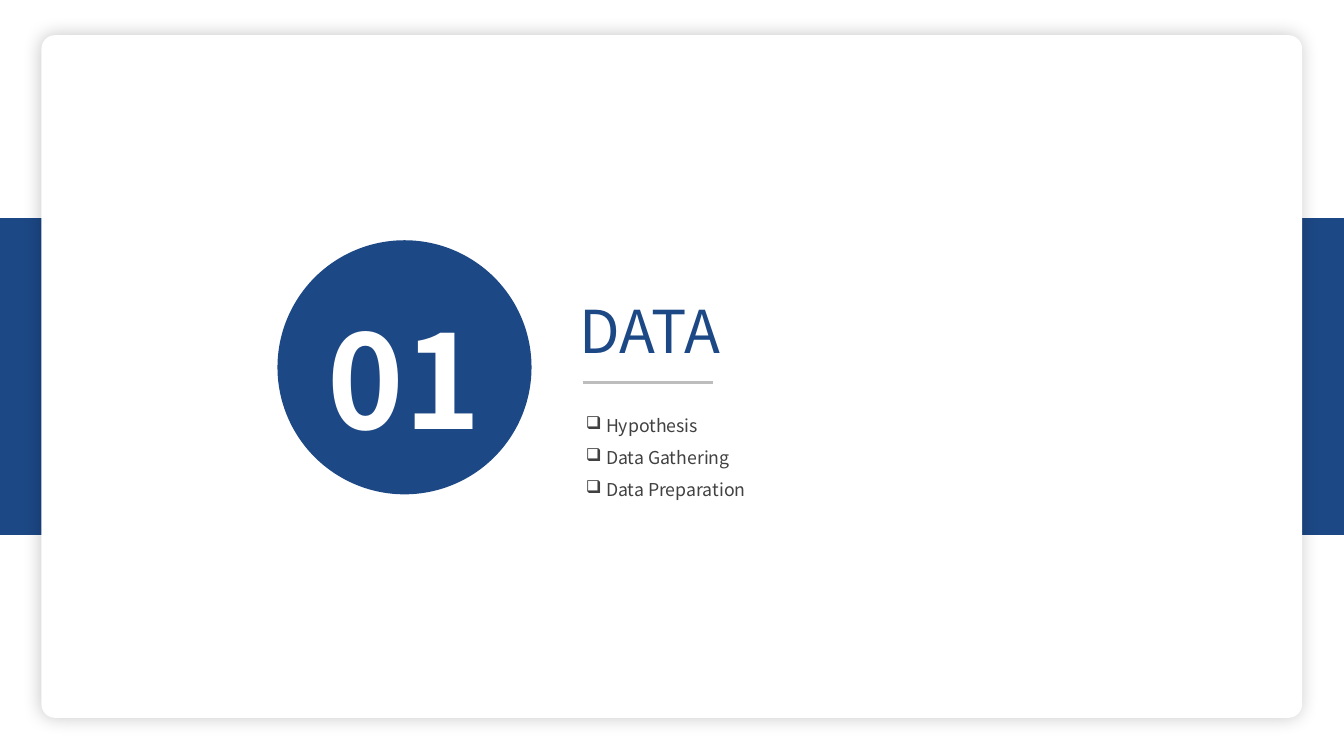
from dataclasses import dataclass

from lxml.etree import SubElement
from pptx import Presentation
from pptx.dml.color import RGBColor
from pptx.enum.shapes import MSO_CONNECTOR, MSO_SHAPE
from pptx.enum.text import MSO_ANCHOR, PP_ALIGN
from pptx.oxml.ns import qn
from pptx.shapes.autoshape import Shape
from pptx.slide import Slide
from pptx.util import Cm, Pt

NAVY = RGBColor(0x1C, 0x48, 0x85)
WHITE = RGBColor(0xFF, 0xFF, 0xFF)
CHARCOAL = RGBColor(0x41, 0x41, 0x41)
SILVER = RGBColor(0xBD, 0xBD, 0xBD)
FONT = "Noto Sans CJK SC"


@dataclass(frozen=True)
class Panel:
    """A filled shape, with its place in centimetres."""

    preset: MSO_SHAPE
    left: float
    top: float
    width: float
    height: float
    fill: RGBColor


@dataclass(frozen=True)
class Wording:
    """Lines of text that share one format."""

    lines: tuple[str, ...]
    size: float
    color: RGBColor
    spacing: float
    bold: bool = False
    align: PP_ALIGN = PP_ALIGN.LEFT
    bullet: str = ""


@dataclass(frozen=True)
class Caption:
    """A text box, with its place in centimetres."""

    left: float
    top: float
    width: float
    height: float
    wording: Wording


SIDE_BARS = [Panel(MSO_SHAPE.RECTANGLE, left, 5.21, 6.35, 7.57, NAVY) for left in (27.94, -0.18)]
CARD = Panel(MSO_SHAPE.ROUNDED_RECTANGLE, 0.99, 0.84, 30.12, 16.31, WHITE)
BADGE = Panel(MSO_SHAPE.OVAL, 6.63, 5.74, 6.07, 6.07, NAVY)
NUMBER = Wording(("01",), 88, WHITE, 1.13, bold=True, align=PP_ALIGN.CENTER)
CAPTIONS = [
    Caption(13.77, 6.78, 13.18, 1.88, Wording(("DATA",), 40, NAVY, 1.13)),
    Caption(13.92, 9.63, 13.64, 2.29, Wording(
        ("Hypothesis", "Data Gathering", "Data Preparation"), 12, CHARCOAL, 1.5, bullet="❑")),
]


def apply(target: object, values: dict[str, object]) -> None:
    """Set each named attribute on the target."""
    for name, value in values.items():
        setattr(target, name, value)


def draw_panel(slide: Slide, panel: Panel) -> Shape:
    """Draw a filled shape without outline or shadow."""
    shape = slide.shapes.add_shape(
        panel.preset, Cm(panel.left), Cm(panel.top), Cm(panel.width), Cm(panel.height))
    shape.shadow.inherit = False
    shape.fill.solid()
    shape.fill.fore_color.rgb = panel.fill
    shape.line.fill.background()
    return shape


def add_glow(shape: Shape) -> None:
    """Give the shape a soft dark shadow on all sides."""
    effects = shape.element.spPr.find(qn("a:effectLst"))
    shadow = SubElement(effects, qn("a:outerShdw"), blurRad=str(Pt(12)), dist="0",
                        dir="5400000", algn="ctr", rotWithShape="0")
    color = SubElement(shadow, qn("a:srgbClr"), val="000000")
    SubElement(color, qn("a:alpha"), val="21000")


def write(shape: Shape, wording: Wording) -> None:
    """Fill the shape with one paragraph per line."""
    frame = shape.text_frame
    for index, line in enumerate(wording.lines):
        paragraph = frame.add_paragraph() if index else frame.paragraphs[0]
        if wording.bullet:
            properties = paragraph._p.get_or_add_pPr()
            properties.set("marL", str(Cm(0.48)))
            properties.set("indent", str(-Cm(0.48)))
            SubElement(properties, qn("a:buChar"), char=wording.bullet)
        apply(paragraph, {"alignment": wording.align, "line_spacing": wording.spacing})
        run = paragraph.add_run()
        run.text = line
        apply(run.font, {"name": FONT, "size": Pt(wording.size), "bold": wording.bold})
        run.font.color.rgb = wording.color


def draw_caption(slide: Slide, caption: Caption) -> None:
    """Draw a text box with narrow margins."""
    box = slide.shapes.add_textbox(
        Cm(caption.left), Cm(caption.top), Cm(caption.width), Cm(caption.height))
    apply(box.text_frame, {
        "word_wrap": True, "vertical_anchor": MSO_ANCHOR.TOP,
        "margin_left": Cm(0.08), "margin_right": Cm(0.08),
        "margin_top": Cm(0.03), "margin_bottom": Cm(0.03),
    })
    write(box, caption.wording)


def draw_divider(slide: Slide) -> None:
    """Draw the rule between the title and the topics."""
    divider = slide.shapes.add_connector(
        MSO_CONNECTOR.STRAIGHT, Cm(13.92), Cm(9.14), Cm(17.04), Cm(9.14))
    divider.line.color.rgb = SILVER
    divider.line.width = Pt(2)
    SubElement(divider.element.spPr, qn("a:effectLst"))


def main() -> None:
    """Build the section slide and save it."""
    deck = Presentation()
    apply(deck, {"slide_width": Cm(32.11), "slide_height": Cm(18.06)})
    slide = deck.slides.add_slide(deck.slide_layouts[6])
    for bar in SIDE_BARS:
        draw_panel(slide, bar)
    card = draw_panel(slide, CARD)
    card.adjustments[0] = 0.02
    add_glow(card)
    badge = draw_panel(slide, BADGE)
    apply(badge.text_frame, {
        "word_wrap": False, "vertical_anchor": MSO_ANCHOR.MIDDLE,
        "margin_left": Cm(0), "margin_right": Cm(0),
        "margin_top": Cm(0.13), "margin_bottom": Cm(0.13),
    })
    write(badge, NUMBER)
    for caption in CAPTIONS:
        draw_caption(slide, caption)
    draw_divider(slide)
    deck.save("out.pptx")


if __name__ == "__main__":
    main()
